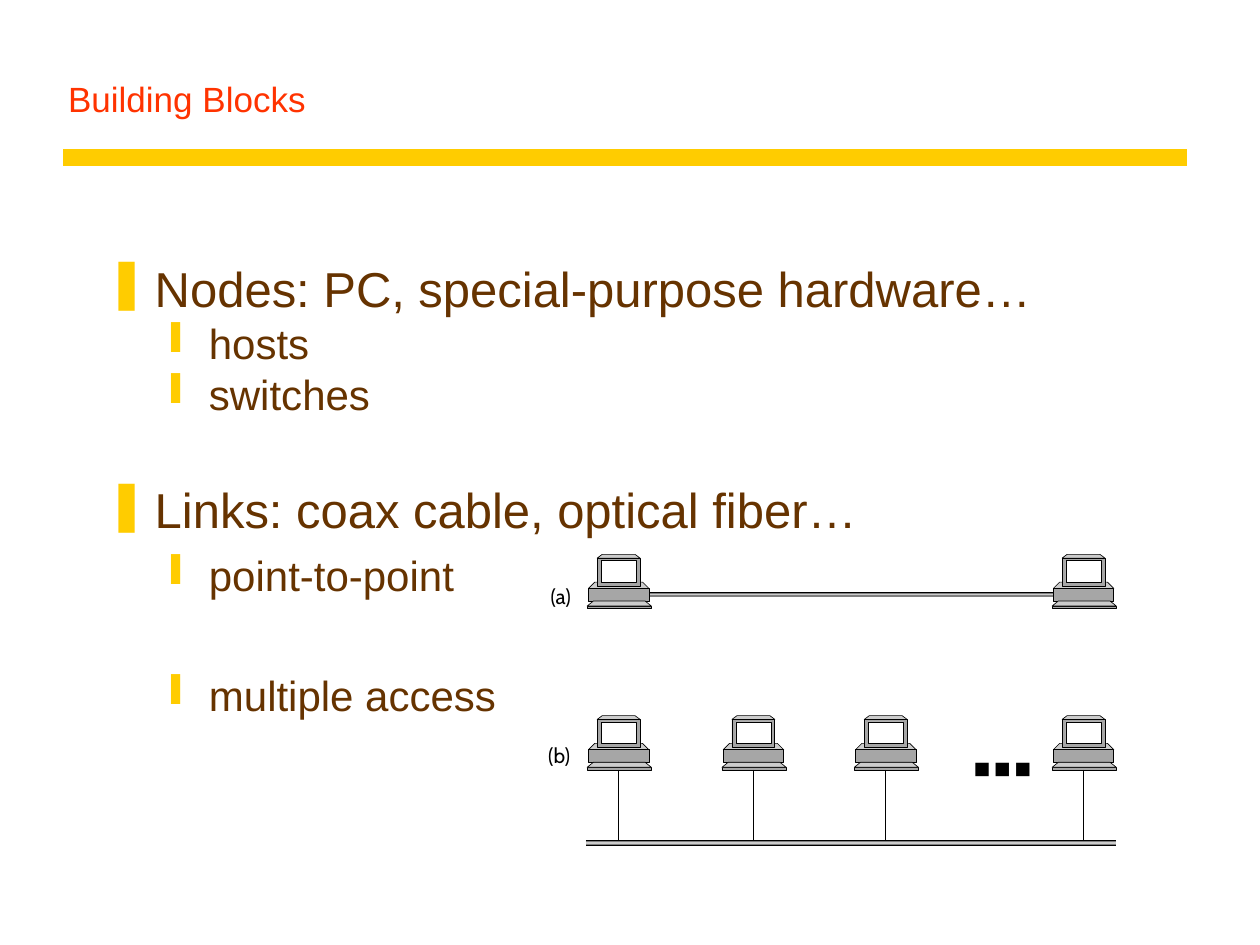
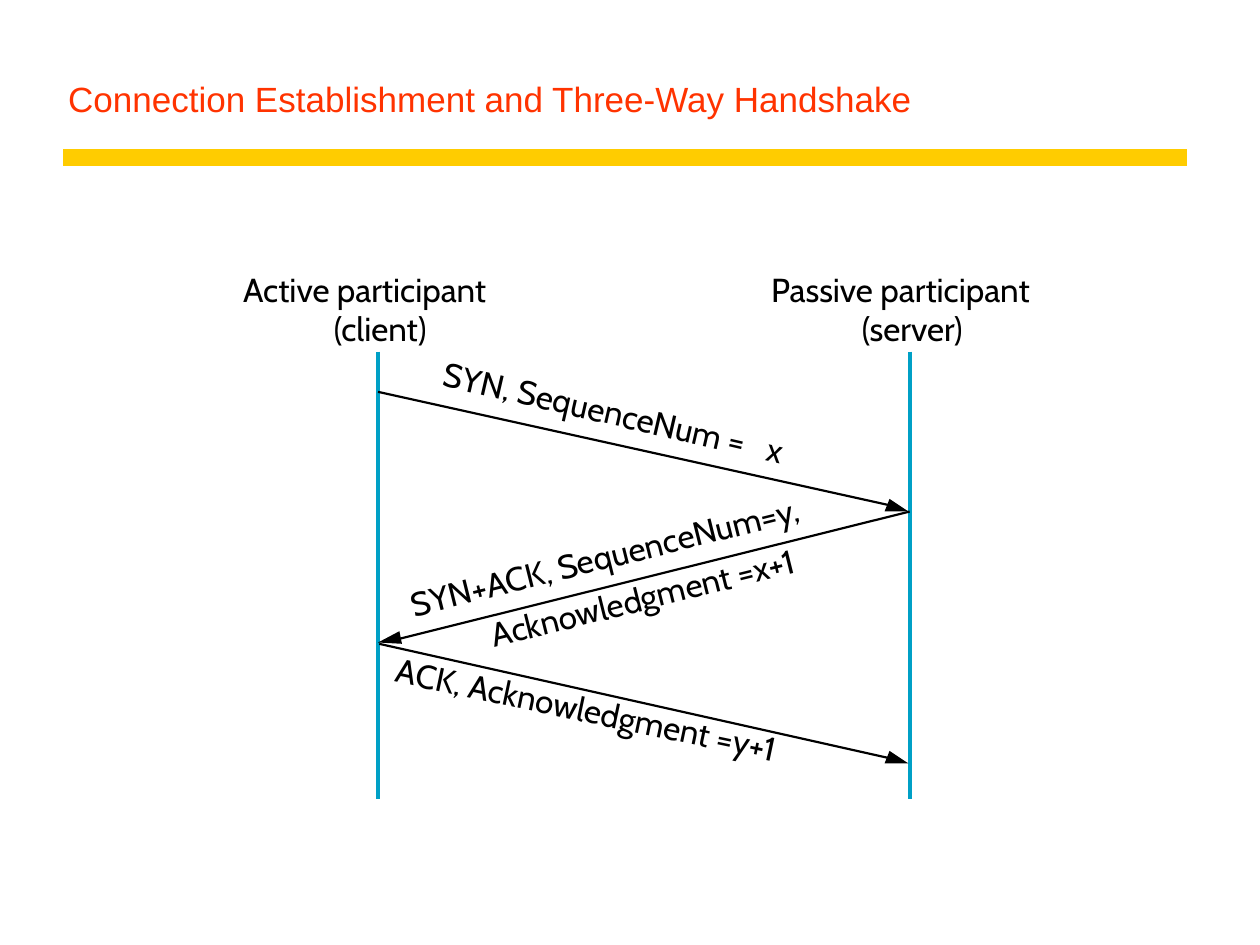
from lxml.etree import SubElement
from pptx import Presentation
from pptx.dml.color import RGBColor
from pptx.enum.shapes import MSO_CONNECTOR, MSO_SHAPE
from pptx.enum.text import MSO_ANCHOR, MSO_AUTO_SIZE, PP_ALIGN
from pptx.oxml.ns import qn
from pptx.util import Inches, Pt

RED = RGBColor(0xFF, 0x33, 0x00)
GOLD = RGBColor(0xFF, 0xCC, 0x00)
BROWN = RGBColor(0x66, 0x33, 0x00)
BLUE = RGBColor(0x00, 0xA0, 0xC6)
BLACK = RGBColor(0, 0, 0)
WHITE = RGBColor(0xFF, 0xFF, 0xFF)
DARK = RGBColor(0x7F, 0x7F, 0x7F)
GRAY = RGBColor(0xA6, 0xA6, 0xA6)
LIGHT = RGBColor(0xCC, 0xCC, 0xCC)
SANS, LABEL = "Arial", "Cabin"


# Text
def write(para, text, size=19, font=LABEL, color=BLACK, before=0, spacing=None):
    para.alignment = PP_ALIGN.LEFT
    para.space_before = Pt(before)
    if spacing:
        para.line_spacing = spacing
    run = para.add_run()
    run.text = text
    run.font.size = Pt(size)
    run.font.name = font
    run.font.color.rgb = color


def add_label(slide, text, x, y, w, h=0.32, turn=0, wrap=False, **fmt):
    box = slide.shapes.add_textbox(Inches(x), Inches(y), Inches(w), Inches(h))
    box.rotation = turn
    frame = box.text_frame
    frame.margin_left = frame.margin_right = 0
    frame.margin_top = frame.margin_bottom = 0
    frame.word_wrap = wrap
    frame.auto_size = MSO_AUTO_SIZE.SHAPE_TO_FIT_TEXT
    write(frame.paragraphs[0], text, **fmt)


def set_bullet(para, mark, left, hang):
    props = para._p.get_or_add_pPr()
    props.set("marL", str(Inches(left)))
    props.set("indent", str(-Inches(hang)))
    tint = SubElement(props, qn("a:buClr"))
    SubElement(tint, qn("a:srgbClr")).set("val", str(GOLD))
    SubElement(props, qn("a:buChar")).set("char", mark)


def add_list(slide, items):
    box = slide.shapes.add_textbox(Inches(0.75), Inches(2), Inches(8.5), Inches(4.5))
    frame = box.text_frame
    frame.word_wrap = True
    for i, (level, text, before, spacing) in enumerate(items):
        para = frame.add_paragraph() if i else frame.paragraphs[0]
        write(para, text, size=24 if level else 28, font=SANS, color=BROWN,
              before=before, spacing=spacing)
        if level:
            set_bullet(para, "❙", 0.81, 0.31)
        else:
            set_bullet(para, "❚", 0.38, 0.38)


# Lines and outlines
def add_line(slide, start, end, color=BLACK, width=0.75):
    line = slide.shapes.add_connector(
        MSO_CONNECTOR.STRAIGHT, *[Inches(v) for v in (*start, *end)])
    line.line.color.rgb = color
    line.line.width = Pt(width)
    SubElement(line._element.spPr, qn("a:effectLst"))


def add_cable(slide, start, end):
    for color, width in ((BLACK, 3), (DARK, 2.25), (LIGHT, 0.75)):
        add_line(slide, start, end, color, width)


def paint(shape, fill, edge=True):
    shape.shadow.inherit = False
    shape.fill.solid()
    shape.fill.fore_color.rgb = fill
    if edge:
        shape.line.color.rgb = BLACK
        shape.line.width = Pt(0.37)
    else:
        shape.line.fill.background()


def add_poly(slide, points, fill, edge=True):
    spots = [(Inches(x), Inches(y)) for x, y in points]
    form = slide.shapes.build_freeform(*spots[0], scale=1.0)
    form.add_line_segments(spots[1:], close=True)
    paint(form.convert_to_shape(), fill, edge)


def add_rect(slide, x, y, w, h, fill):
    rect = slide.shapes.add_shape(
        MSO_SHAPE.RECTANGLE, Inches(x), Inches(y), Inches(w), Inches(h))
    paint(rect, fill)


def add_top(slide, x, y, w, h, slant):
    add_poly(slide, [(x, y + h), (x + slant, y), (x + w - slant, y), (x + w, y + h)], LIGHT)


def add_host(slide, x, y):
    # Case, keyboard, then screen
    add_top(slide, x + 0.01, y + 0.22, 0.48, 0.05, 0.05)
    add_rect(slide, x + 0.01, y + 0.27, 0.48, 0.1, GRAY)
    add_rect(slide, x, y + 0.41, 0.51, 0.02, GRAY)
    add_top(slide, x, y + 0.37, 0.51, 0.04, 0.05)
    add_top(slide, x + 0.08, y, 0.34, 0.03, 0.04)
    add_rect(slide, x + 0.08, y + 0.03, 0.34, 0.22, GRAY)
    add_rect(slide, x + 0.11, y + 0.05, 0.28, 0.17, WHITE)


# Title and band of every slide
def add_slide(deck, title):
    slide = deck.slides.add_slide(deck.slide_layouts[5])
    add_line(slide, (0.5, 1.25), (9.42, 1.25), GOLD, 10)
    head = slide.shapes.title
    head.left, head.top = Inches(0.44), Inches(0.25)
    head.width, head.height = Inches(8.97), Inches(0.75)
    frame = head.text_frame
    frame.vertical_anchor = MSO_ANCHOR.BOTTOM
    frame.auto_size = MSO_AUTO_SIZE.NONE
    write(frame.paragraphs[0], title, size=20, font=SANS, color=RED)
    return slide


def add_blocks(deck):
    slide = add_slide(deck, "Building Blocks")
    add_list(slide, [
        (0, "Nodes: PC, special-purpose hardware…", 7, None),
        (1, "hosts", 6, 0.8),
        (1, "switches", 6, 0.8),
        (0, "Links: coax cable, optical fiber…", 35, None),
        (1, "point-to-point", 6, None),
        (1, "multiple access", 40, None),
    ])
    add_label(slide, "■ ■ ■", 7.73, 6.01, 0.49, 0.87, wrap=True, size=10)
    add_label(slide, "(a)", 4.37, 4.63, 0.19, 0.2, size=12)
    add_label(slide, "(b)", 4.35, 5.89, 0.2, 0.2, size=12)

    # Point-to-point link
    hosts = (4.66, 5.73, 6.78, 8.35)
    add_cable(slide, (5.15, 4.72), (8.36, 4.72))
    for x in (hosts[0], hosts[-1]):
        add_host(slide, x, 4.4)

    # Shared link
    for x in hosts:
        add_host(slide, x, 5.68)
        add_line(slide, (x + 0.25, 6.11), (x + 0.25, 6.68))
    add_cable(slide, (4.65, 6.69), (8.86, 6.69))


def add_handshake(deck):
    slide = add_slide(deck, "Connection Establishment and Three-Way Handshake")

    # Participants
    add_label(slide, "Active participant", 1.93, 2.14, 2.15)
    add_label(slide, "(client)", 2.65, 2.45, 0.83)
    add_label(slide, "Passive participant", 6.12, 2.14, 2.32)
    add_label(slide, "(server)", 6.84, 2.45, 0.93)
    for x in (3, 7.22):
        add_line(slide, (x, 2.79), (x, 6.34), BLUE, 2.38)

    # Messages with their heads
    for start, end, head in (
        ((3, 3.11), (7.06, 4.01), [(7.02, 4.06), (7.21, 4.06), (7.06, 3.96)]),
        ((7.22, 4.06), (3.17, 5.07), [(3.17, 5.01), (3, 5.1), (3.19, 5.11)]),
        ((3.01, 5.11), (7.07, 6.02), [(7.02, 6.06), (7.21, 6.06), (7.06, 5.96)]),
    ):
        add_line(slide, start, end, width=1.25)
        add_poly(slide, head, BLACK, edge=False)

    add_label(slide, "SYN, SequenceNum =", 3.49, 3.1, 2.67, turn=13)
    add_label(slide, "x", 6.09, 3.41, 0.14, turn=13)
    add_label(slide, "SYN+ACK, SequenceNum=y,", 3.21, 4.19, 3.7, turn=346, wrap=True)
    add_label(slide, "Acknowledgment =x+1", 3.86, 4.54, 2.82, turn=346)
    add_label(slide, "ACK, Acknowledgment =y+1", 3.11, 5.51, 3.45, turn=12)


def main():
    deck = Presentation()
    deck.slide_width, deck.slide_height = Inches(10), Inches(7.5)
    add_blocks(deck)
    add_handshake(deck)
    deck.save("out.pptx")


if __name__ == "__main__":
    main()
